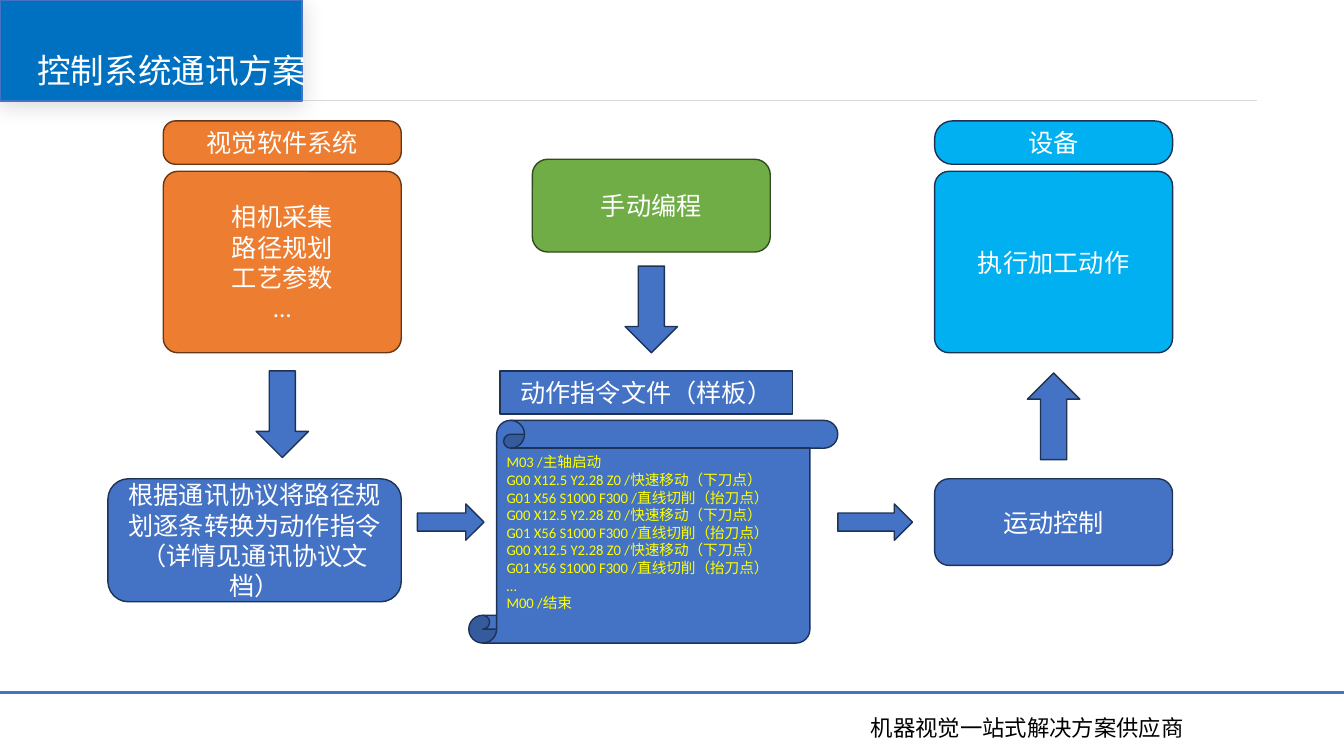
from dataclasses import dataclass
from typing import Optional

from lxml.etree import SubElement
from pptx import Presentation
from pptx.dml.color import RGBColor
from pptx.enum.shapes import MSO_CONNECTOR, MSO_SHAPE
from pptx.enum.text import MSO_ANCHOR, MSO_AUTO_SIZE, PP_ALIGN
from pptx.oxml.ns import qn
from pptx.util import Inches, Pt

CJK_FONT = "Noto Sans CJK SC"
BLUE, NAVY, WHITE = "4472C4", "1E3256", "FFFFFF"
ORANGE, BROWN, CYAN = "ED7D31", "683715", "00B0F0"
COLUMN_WIDTH = 2.36
LEFT_COLUMN, MIDDLE_COLUMN, RIGHT_COLUMN = 1.62, 5.28, 9.27
HEADER_TOP, HEADER_HEIGHT = 1.2, 0.43
PANEL_TOP, PANEL_HEIGHT = 1.7, 1.8
ARROW_WIDTH, ARROW_LENGTH = 0.52, 0.86
MOVE, CUT = "G00 X12.5 Y2.28 Z0 /快速移动（下刀点）", "G01 X56 S1000 F300 /直线切削（抬刀点）"


@dataclass
class TextStyle:
    """Look of a block of text."""
    size: float = 18
    color: str = WHITE
    font: str = "Calibri"
    align: PP_ALIGN = PP_ALIGN.CENTER
    anchor: MSO_ANCHOR = MSO_ANCHOR.MIDDLE


@dataclass
class Node:
    """A filled shape of the flow, with its paragraphs."""
    left: float
    top: float
    width: float
    height: float
    lines: tuple = ()
    kind: MSO_SHAPE = MSO_SHAPE.ROUNDED_RECTANGLE
    fill: str = BLUE
    outline: str = NAVY
    corner: Optional[float] = None
    rotation: float = 0
    style: TextStyle = TextStyle


@dataclass
class Rule:
    """A horizontal line across the page."""
    left: float
    right: float
    top: float
    color: str
    weight: float


LABEL = TextStyle()
CODE = TextStyle(10.5, "FFFF00", align=PP_ALIGN.LEFT, anchor=MSO_ANCHOR.TOP)
TITLE = TextStyle(24, font=CJK_FONT, align=PP_ALIGN.LEFT)
SLOGAN = TextStyle(16, "000000", CJK_FONT, PP_ALIGN.LEFT, MSO_ANCHOR.TOP)

RULES = [Rule(0, 13.33, 6.87, BLUE, 2), Rule(0.85, 12.47, 1, "D9D9D9", 0.5)]

NODES = [
    Node(4.65, 4.17, 3.66, 2.21,
         ("M03 /主轴启动", *(MOVE, CUT) * 3, "…", "M00 /结束"),
         MSO_SHAPE.VERTICAL_SCROLL, style=CODE),
    Node(4.96, 3.68, 2.9, HEADER_HEIGHT, ("动作指令文件（样板）",),
         MSO_SHAPE.RECTANGLE, style=LABEL),
    Node(LEFT_COLUMN, PANEL_TOP, COLUMN_WIDTH, PANEL_HEIGHT,
         ("相机采集", "路径规划", "工艺参数", "…"),
         fill=ORANGE, outline=BROWN, corner=0.08, style=LABEL),
    Node(LEFT_COLUMN, HEADER_TOP, COLUMN_WIDTH, HEADER_HEIGHT, ("视觉软件系统",),
         fill=ORANGE, outline=BROWN, corner=0.28, style=LABEL),
    Node(RIGHT_COLUMN, PANEL_TOP, COLUMN_WIDTH, PANEL_HEIGHT, ("执行加工动作",),
         fill=CYAN, corner=0.08, style=LABEL),
    Node(RIGHT_COLUMN, HEADER_TOP, COLUMN_WIDTH, HEADER_HEIGHT, ("设备",),
         fill=CYAN, corner=0.41, style=LABEL),
    Node(1.07, 4.75, 2.91, 1.22,
         ("根据通讯协议将路径规划逐条转换为动作指令\n（详情见通讯协议文档）",), style=LABEL),
    Node(RIGHT_COLUMN, 4.75, COLUMN_WIDTH, 0.86, ("运动控制",), style=LABEL),
    Node(MIDDLE_COLUMN, 1.58, COLUMN_WIDTH, 0.92, ("手动编程",),
         fill="70AD47", outline="314C1F", style=LABEL),
    Node(4.14, 5, 0.66, 0.36, kind=MSO_SHAPE.RIGHT_ARROW, style=LABEL),
    Node(8.31, 5, 0.74, 0.36, kind=MSO_SHAPE.RIGHT_ARROW, style=LABEL),
] + [
    Node(column + (COLUMN_WIDTH - ARROW_WIDTH) / 2, top, ARROW_WIDTH, ARROW_LENGTH,
         kind=MSO_SHAPE.DOWN_ARROW, rotation=turn, style=LABEL)
    for column, top, turn in ((LEFT_COLUMN, 3.68, 0), (MIDDLE_COLUMN, 2.64, 0),
                              (RIGHT_COLUMN, 3.7, 180))
]

BANNER_START = (0.27, 0.41)
BANNER_CURVES = [
    ((2.91, 0.41), (2.96, 0.41), (3.01, 0.43), (3.04, 0.47)),
    ((3.37, 0.84), (3.39, 0.85), (3.4, 0.86), (3.4, 0.9)),
    ((3.4, 0.9), (3.4, 0.93), (3.36, 0.99), (3.32, 0.99)),
]
BANNER_END = (0.27, 0.99)


def rgb(value: str) -> RGBColor:
    """Turn a hex string into a colour."""
    return RGBColor.from_string(value)


def paint(shape, fill: str, outline: str, weight: float) -> None:
    """Give a shape its fill and outline, without a shadow."""
    shape.shadow.inherit = False
    shape.fill.solid()
    shape.fill.fore_color.rgb = rgb(fill)
    shape.line.color.rgb = rgb(outline)
    shape.line.width = Pt(weight)


def write(shape, lines: tuple, style: TextStyle) -> None:
    """Write one paragraph per line, with line breaks inside where given."""
    frame = shape.text_frame
    frame.word_wrap = True
    frame.auto_size = MSO_AUTO_SIZE.NONE
    frame.vertical_anchor = style.anchor
    for index, line in enumerate(lines):
        para = frame.paragraphs[0] if index == 0 else frame.add_paragraph()
        para.alignment = style.align
        for part_index, part in enumerate(line.split("\n")):
            if part_index:
                para.add_line_break()
            span = para.add_run()
            span.text = part
            span.font.size = Pt(style.size)
            span.font.name = style.font
            span.font.color.rgb = rgb(style.color)
            east_asian = SubElement(span.font._element, qn("a:ea"))
            east_asian.set("typeface", CJK_FONT)


def draw_rule(page, rule: Rule) -> None:
    """Draw a horizontal line."""
    line = page.shapes.add_connector(
        MSO_CONNECTOR.STRAIGHT, Inches(rule.left), Inches(rule.top),
        Inches(rule.right), Inches(rule.top))
    line.line.color.rgb = rgb(rule.color)
    line.line.width = Pt(rule.weight)
    SubElement(line._element.spPr, qn("a:effectLst"))


def draw_node(page, node: Node) -> None:
    """Draw a box, scroll or arrow of the flow."""
    box = page.shapes.add_shape(node.kind, Inches(node.left), Inches(node.top),
                                Inches(node.width), Inches(node.height))
    paint(box, node.fill, node.outline, 1)
    box.rotation = node.rotation
    if node.corner is not None:
        box.adjustments[0] = node.corner
    if node.lines:
        write(box, node.lines, node.style)


def curve_points(curve: tuple, steps: int = 8) -> list:
    """Sample a cubic curve at equal parameter steps."""
    weights = [((1 - t) ** 3, 3 * t * (1 - t) ** 2, 3 * t * t * (1 - t), t ** 3)
               for t in (step / steps for step in range(steps + 1))]
    return [tuple(sum(w * point[axis] for w, point in zip(row, curve)) for axis in (0, 1))
            for row in weights]


def draw_banner(page) -> None:
    """Draw the title banner with its soft shadow."""
    points = [point for curve in BANNER_CURVES for point in curve_points(curve)]
    builder = page.shapes.build_freeform(*BANNER_START, scale=Inches(1))
    builder.add_line_segments(points + [BANNER_END], close=True)
    banner = builder.convert_to_shape()
    paint(banner, "0070C0", BLUE, 1.5)
    effects = banner._element.spPr.find(qn("a:effectLst"))
    shadow = SubElement(effects, qn("a:outerShdw"), blurRad=str(Pt(16)),
                        dist=str(Pt(3)), dir="5400000", rotWithShape="0")
    color = SubElement(shadow, qn("a:srgbClr"), val="000000")
    SubElement(color, qn("a:alpha"), val="15000")


def place(shape, left: float, top: float, width: float, height: float) -> None:
    """Move and size a shape."""
    shape.left, shape.top = Inches(left), Inches(top)
    shape.width, shape.height = Inches(width), Inches(height)


def main() -> None:
    """Build the slide and save it."""
    deck = Presentation()
    deck.slide_width, deck.slide_height = Inches(13.33), Inches(7.5)
    page = deck.slides.add_slide(deck.slide_layouts[5])
    slogan = page.shapes.add_textbox(Inches(8.54), Inches(7.04), Inches(4.48), Inches(0.37))
    write(slogan, ("机器视觉一站式解决方案供应商",), SLOGAN)
    for rule in RULES:
        draw_rule(page, rule)
    for node in NODES:
        draw_node(page, node)
    draw_banner(page)
    title = page.shapes.title
    place(title, 0.27, 0.41, 3.13, 0.58)
    write(title, ("控制系统通讯方案",), TITLE)
    page.shapes._spTree.append(title._element)
    deck.save("out.pptx")


if __name__ == "__main__":
    main()
